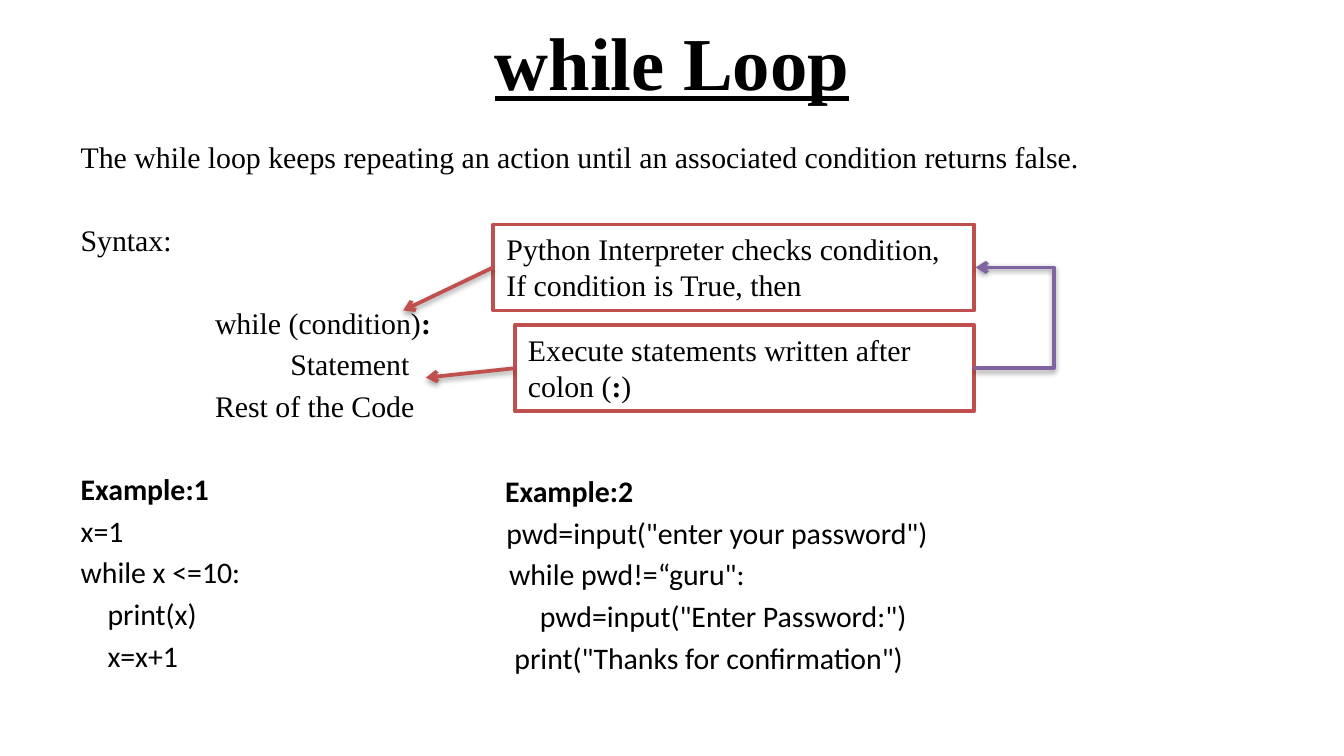
from lxml import etree
from pptx import Presentation
from pptx.dml.color import RGBColor
from pptx.enum.shapes import MSO_CONNECTOR as Connector, MSO_SHAPE as Shape
from pptx.enum.text import MSO_ANCHOR as Anchor, MSO_AUTO_SIZE as AutoSize, PP_ALIGN as Align
from pptx.oxml.ns import qn
from pptx.util import Inches, Pt

COLORS = {"text": "000000", "box": "FFFFFF", "step": "C0504D", "repeat": "8064A2"}
SERIF, SANS = "Times New Roman", "Calibri"
BODY_SIZE, LINE_GAP, SECTION_GAP = 16, 3.1, 25.3

# Content: indent in inches, space before in points, text pieces
TITLE = "while Loop"
SYNTAX = [
    (0, LINE_GAP, ["The while loop keeps repeating an action until an associated condition returns false."]),
    (0, SECTION_GAP, ["Syntax:"]),
    (1, SECTION_GAP, ["while (condition)", (":", True)]),
    (1.56, LINE_GAP, ["Statement"]),
    (1, LINE_GAP, ["Rest of the Code"]),
]
EXAMPLE_1 = [
    (0, SECTION_GAP, [("Example:1", True)]),
    (0, LINE_GAP, ["x=1"]),
    (0, LINE_GAP, ["while x <=10:"]),
    (0.2, LINE_GAP, ["print(x)"]),
    (0.2, LINE_GAP, ["x=x+1"]),
]
EXAMPLE_2 = [
    (0, LINE_GAP, [("Example:2", True)]),
    (0.01, LINE_GAP, ['pwd=input("enter your password")']),
    (0.03, LINE_GAP, ['while pwd!=“guru":']),
    (0.26, LINE_GAP, ['pwd=input("Enter Password:")']),
    (0.07, LINE_GAP, ['print("Thanks for confirmation")']),
]
# Left, top, text pieces, arrow target
STEPS = [
    (3.67, 1.67, ["Python Interpreter checks condition, If condition is True, then"], (3, 2.31)),
    (3.83, 2.42, ["Execute statements written after colon (", (":", True), ")"], (3.17, 2.81)),
]
BOX_RIGHT, BOX_HEIGHT, LOOP_REACH, LOOP_GAP = 7.25, 0.64, 0.6, 0.01


def color(name):
    return RGBColor.from_string(COLORS[name])


def write(paragraph, pieces, size=BODY_SIZE, font=SERIF, bold=False, underline=False,
          align=Align.LEFT, before=0, indent=0):
    paragraph.alignment = align
    paragraph.space_before = Pt(before)
    properties = paragraph._p.get_or_add_pPr()
    properties.set("marL", str(Inches(indent)))
    properties.set("indent", "0")
    etree.SubElement(properties, qn("a:buNone"))
    for piece in pieces:
        text, strong = piece if isinstance(piece, tuple) else (piece, bold)
        run = paragraph.add_run()
        run.text = text
        run.font.name, run.font.size = font, Pt(size)
        run.font.bold, run.font.underline = strong, underline
        run.font.color.rgb = color("text")


def write_lines(frame, lines, font):
    for indent, before, pieces in lines:
        first = frame.paragraphs[0]
        paragraph = frame.add_paragraph() if first.runs else first
        write(paragraph, pieces, font=font, before=before, indent=indent)


def place(shape, left, top, width, height):
    shape.left, shape.top = Inches(left), Inches(top)
    shape.width, shape.height = Inches(width), Inches(height)
    shape.text_frame.word_wrap = True
    shape.text_frame.auto_size = AutoSize.NONE
    return shape.text_frame


def add_arrow(kind, start, end, line_color):
    arrow = slide.shapes.add_connector(kind, *map(Inches, start + end))
    arrow.line.color.rgb = color(line_color)
    arrow.line.width = Pt(2)
    etree.SubElement(arrow.line._get_or_add_ln(), qn("a:tailEnd"), type="arrow")
    effects = etree.SubElement(arrow._element.spPr, qn("a:effectLst"))
    shadow = etree.SubElement(effects, qn("a:outerShdw"), blurRad=str(Pt(3.1)),
                              dist=str(Pt(1.6)), dir="5400000", rotWithShape="0")
    shade = etree.SubElement(shadow, qn("a:srgbClr"), val=COLORS["text"])
    etree.SubElement(shade, qn("a:alpha"), val="38000")
    return arrow


# Widescreen slide, 16 by 9
presentation = Presentation()
presentation.slide_width = Inches(10)
presentation.slide_height = presentation.slide_width * 9 // 16
slide = presentation.slides.add_slide(presentation.slide_layouts[1])

# Title
title = place(slide.shapes.title, 0.5, -0.02, 9, 0.94)
title.vertical_anchor = Anchor.MIDDLE
write(title.paragraphs[0], [TITLE], size=40, bold=True, underline=True, align=Align.CENTER)

# Syntax and first example, with the second example beside it
body = place(slide.placeholders[1], 0.5, 0.98, 9, 4.3)
write_lines(body, SYNTAX, SERIF)
write_lines(body, EXAMPLE_1, SANS)
second_example = place(slide.shapes.add_textbox(0, 0, 0, 0), 3.66, 3.47, 4.5, 1.81)
write_lines(second_example, EXAMPLE_2, SANS)

# Explanation boxes with arrows to the syntax
middles = []
for left, top, pieces, target in STEPS:
    box = slide.shapes.add_shape(Shape.RECTANGLE, 0, 0, 0, 0)
    frame = place(box, left, top, BOX_RIGHT - left, BOX_HEIGHT)
    box.shadow.inherit = False
    box.fill.solid()
    box.fill.fore_color.rgb = color("box")
    box.line.color.rgb = color("step")
    box.line.width = Pt(2)
    frame.vertical_anchor = Anchor.TOP
    write(frame.paragraphs[0], pieces)
    middles.append(top + BOX_HEIGHT / 2)
    arrow = add_arrow(Connector.STRAIGHT, (left, middles[-1]), target, "step")
    arrow.begin_connect(box, 1)

# Loop back from the second box to the first
loop = add_arrow(Connector.ELBOW, (BOX_RIGHT, middles[1]),
                 (BOX_RIGHT + LOOP_GAP, middles[0]), "repeat")
adjustments = loop._element.spPr.find(qn("a:prstGeom")).get_or_add_avLst()
bend = round(LOOP_REACH / LOOP_GAP * 100000)
etree.SubElement(adjustments, qn("a:gd"), name="adj1", fmla=f"val {bend}")

presentation.save("out.pptx")
